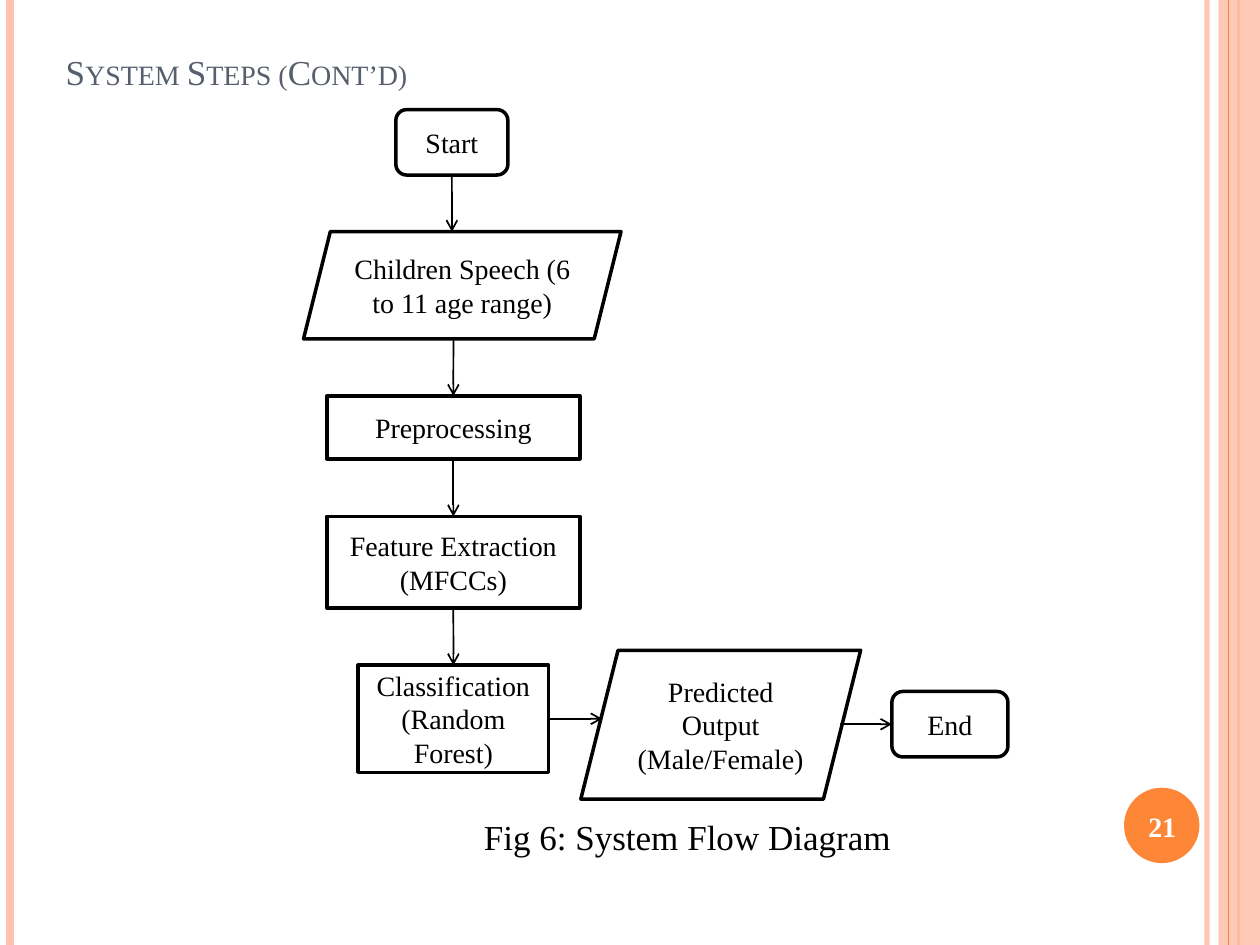
from dataclasses import dataclass

from lxml.etree import SubElement
from pptx import Presentation
from pptx.dml.color import RGBColor
from pptx.enum.shapes import MSO_CONNECTOR, MSO_SHAPE
from pptx.enum.text import MSO_ANCHOR, PP_ALIGN
from pptx.oxml.ns import qn
from pptx.util import Cm, Pt


@dataclass(frozen=True)
class Theme:
    face: str = "Times New Roman"
    ink: str = "000000"
    paper: str = "FFFFFF"
    slate: str = "575F6D"
    peach: str = "FEC3AE"
    orange: str = "FE8637"
    large: int = 20
    small: int = 16
    edge: float = 2
    thin: float = 1


THEME = Theme()
TOP, LEFT, BOTTOM, RIGHT = range(4)


def rgb(code):
    return RGBColor.from_string(code)


def fade(fill, share):
    color = fill._xPr.find(qn("a:solidFill"))[0]
    SubElement(color, qn("a:alpha")).set("val", str(share * 1000))


def write(frame, text, size, color, align=PP_ALIGN.CENTER, bold=False):
    frame.word_wrap = True
    frame.vertical_anchor = MSO_ANCHOR.MIDDLE
    frame.text = text
    for par in frame.paragraphs:
        par.alignment = align
        font = par.font
        font.name, font.size, font.bold = THEME.face, Pt(size), bold
        font.color.rgb = rgb(color)


def add_shape(slide, kind, box, fill, edge=None):
    shape = slide.shapes.add_shape(kind, *map(Cm, box))
    shape.shadow.inherit = False
    shape.fill.solid()
    shape.fill.fore_color.rgb = rgb(fill)
    if edge:
        shape.line.color.rgb = rgb(edge)
        shape.line.width = Pt(THEME.edge)
    else:
        shape.line.fill.background()
    return shape


def add_step(slide, kind, box, text):
    step = add_shape(slide, kind, box, THEME.paper, THEME.ink)
    write(step.text_frame, text, THEME.small, THEME.ink)
    return step


def add_line(slide, start, end, color, width):
    line = slide.shapes.add_connector(
        MSO_CONNECTOR.STRAIGHT, *map(Cm, start + end))
    line.line.color.rgb = rgb(color)
    line.line.width = Pt(width)
    SubElement(line._element.spPr, qn("a:effectLst"))
    return line


def add_arrow(slide, start, end, tail=None, head=None):
    arrow = add_line(slide, start, end, THEME.ink, THEME.thin)
    tip = SubElement(arrow.line._get_or_add_ln(), qn("a:tailEnd"))
    tip.set("type", "arrow")
    if tail:
        arrow.begin_connect(*tail)
    if head:
        arrow.end_connect(*head)


def add_label(slide, box, text, size, color, bold=False):
    label = slide.shapes.add_textbox(*map(Cm, box))
    write(label.text_frame, text, size, color, bold=bold)


def add_frame(slide):
    rules = [(24.33, THEME.peach, 3), (0.2, THEME.peach, 4.5),
             (24.97, THEME.orange, 1.5)]
    lines = [add_line(slide, (x, 0), (x, 19.05), color, width)
             for x, color, width in rules]
    fade(lines[0].line.fill, 93)
    band = add_shape(slide, MSO_SHAPE.RECTANGLE,
                     (24.56, 0, 0.84, 19.05), THEME.peach)
    fade(band.fill, 87)
    add_line(slide, (24.77, 0), (24.77, 19.05), THEME.orange, 0.75)
    add_shape(slide, MSO_SHAPE.OVAL, (22.66, 15.88, 1.52, 1.52), THEME.orange)
    add_label(slide, (22.58, 15.93, 1.7, 1.45), "21",
              THEME.small, THEME.paper, bold=True)


def add_title(slide, text):
    title = slide.shapes.title
    title.left, title.top, title.width, title.height = map(
        Cm, (1.07, 0.75, 20.75, 1.4))
    write(title.text_frame, text, THEME.large, THEME.slate, PP_ALIGN.LEFT)
    run = title.text_frame.paragraphs[0].runs[0]
    run._r.get_or_add_rPr().set("cap", "small")


def add_flow(slide):
    block, pill, skew = (MSO_SHAPE.RECTANGLE, MSO_SHAPE.ROUNDED_RECTANGLE,
                         MSO_SHAPE.PARALLELOGRAM)
    start = add_step(slide, pill, (7.98, 2.21, 2.26, 1.32), "Start")
    add_step(slide, skew, (6.12, 4.67, 6.4, 2.16),
             "Children Speech (6 to 11 age range)")
    mid = 9.14
    rows = [(7.98, 5.1, 1.27, "Preprocessing"),
            (10.41, 5.1, 1.85, "Feature Extraction\n(MFCCs)"),
            (13.41, 3.84, 2.16, "Classification\n(Random Forest)")]
    stack = [add_step(slide, block, (mid - wide / 2, top, wide, high), text)
             for top, wide, high, text in rows]
    add_step(slide, skew, (11.71, 13.11, 5.64, 3),
             "Predicted Output\n(Male/Female)")
    end = add_step(slide, pill, (17.98, 13.94, 2.34, 1.32), "End")

    add_arrow(slide, (9.11, 3.53), (9.11, 4.67), tail=(start, BOTTOM))
    add_arrow(slide, (mid, 6.83), (mid, 7.98), head=(stack[0], TOP))
    for upper, lower in zip(stack, stack[1:]):
        add_arrow(slide, (mid, 0), (mid, 1), (upper, BOTTOM), (lower, TOP))
    add_arrow(slide, (11.06, 14.49), (12.14, 14.49), tail=(stack[-1], RIGHT))
    add_arrow(slide, (16.94, 14.6), (17.98, 14.6), head=(end, LEFT))


def main():
    deck = Presentation()
    deck.slide_width, deck.slide_height = Cm(25.4), Cm(19.05)
    slide = deck.slides.add_slide(deck.slide_layouts[5])
    add_frame(slide)
    add_title(slide, "System Steps (Cont’d)")
    add_flow(slide)
    add_label(slide, (7.98, 16.31, 11.76, 1.12),
              "Fig 6: System Flow Diagram", THEME.large, THEME.ink)
    deck.save("out.pptx")


if __name__ == "__main__":
    main()
